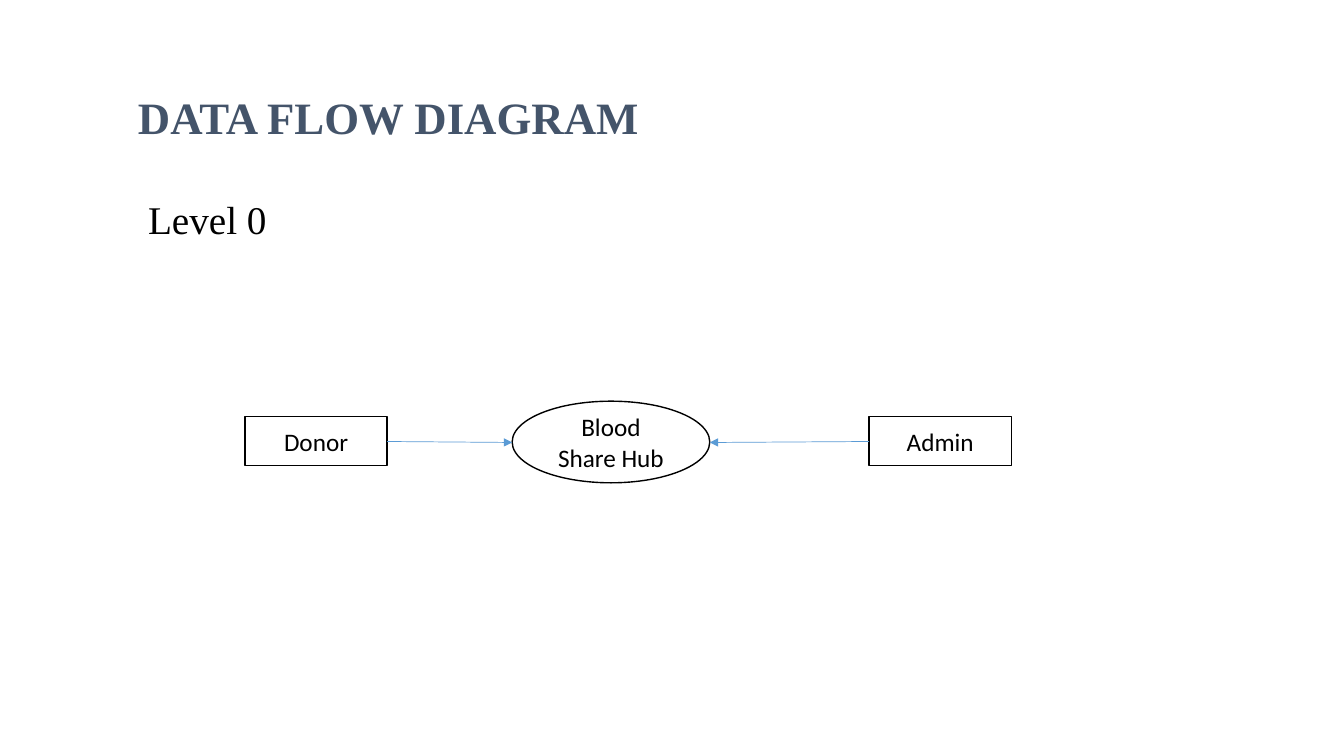
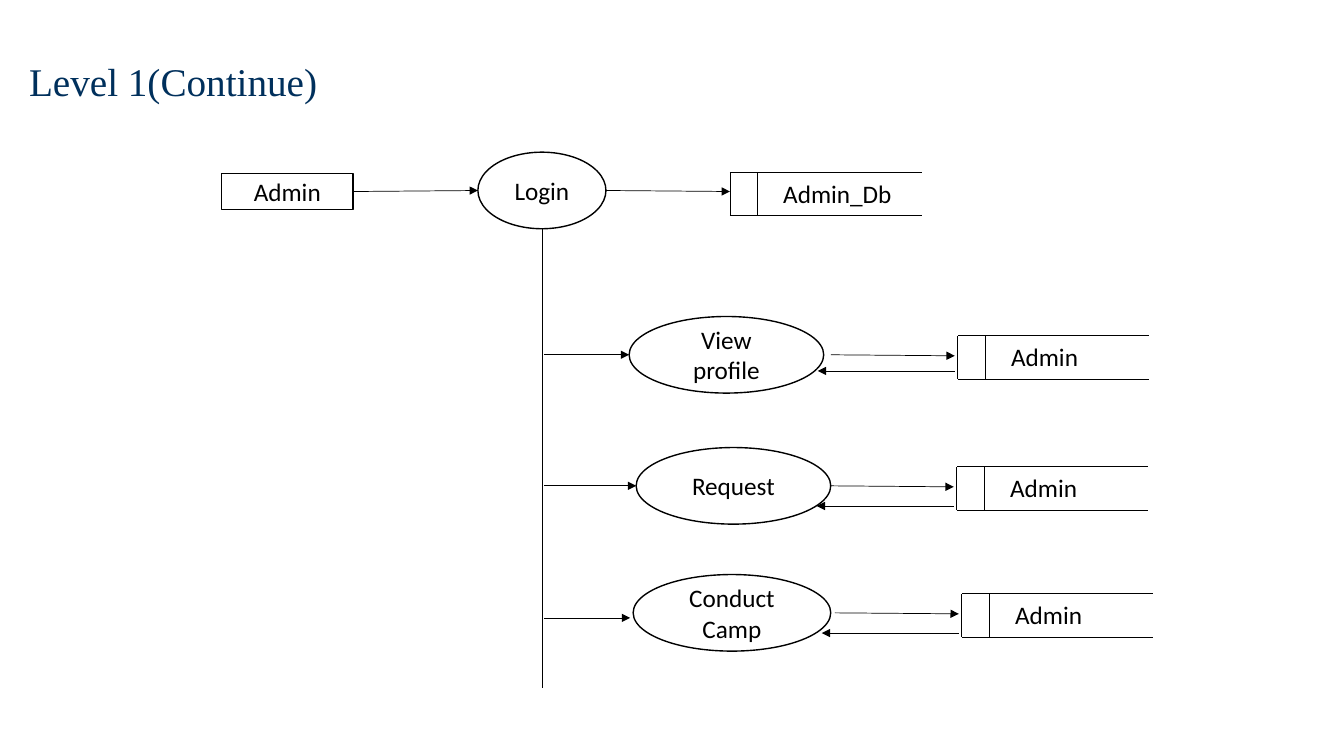
from lxml import etree
from pptx import Presentation
from pptx import util as u
from pptx.dml.color import RGBColor
from pptx.enum import shapes, text
from pptx.oxml.ns import qn

PX = 9144
BLACK = RGBColor(0x00, 0x00, 0x00)
WHITE = RGBColor(0xFF, 0xFF, 0xFF)
SLATE = RGBColor(0x44, 0x54, 0x6A)
NAVY = RGBColor(0x00, 0x30, 0x5C)
BLUE = RGBColor(0x5B, 0x9B, 0xD5)
HEADING_FONT = "Times New Roman"
LABEL_FONT = "Calibri"
ENTITY = shapes.MSO_SHAPE.RECTANGLE
PROCESS = shapes.MSO_SHAPE.OVAL
STORE_WIDTH, STORE_HEIGHT, STORE_TAB = 190, 43, 27


def emu(*lengths):
    """Turn px lengths into EMU."""
    return [u.Emu(length * PX) for length in lengths]


def write(frame, words, size, font, color, bold=False):
    """Write one run into a wrapping text frame and return its paragraph."""
    frame.word_wrap = True
    paragraph = frame.paragraphs[0]
    run = paragraph.add_run()
    run.text = words
    run.font.size = u.Pt(size)
    run.font.name = font
    run.font.bold = bold
    run.font.color.rgb = color
    return paragraph


def add_text(slide, box, words, size=18, font=LABEL_FONT, color=BLACK, bold=False):
    """Place left-aligned text in a box."""
    frame = slide.shapes.add_textbox(*emu(*box)).text_frame
    write(frame, words, size, font, color, bold)
    return frame


def add_node(slide, kind, box, words):
    """Draw an outlined entity or process with a centred label."""
    node = slide.shapes.add_shape(kind, *emu(*box))
    node.shadow.inherit = False
    node.fill.solid()
    node.fill.fore_color.rgb = WHITE
    node.line.color.rgb = BLACK
    node.line.width = u.Pt(1)
    node.text_frame.vertical_anchor = text.MSO_ANCHOR.MIDDLE
    label = write(node.text_frame, words, 18, LABEL_FONT, BLACK)
    label.alignment = text.PP_ALIGN.CENTER


def add_line(slide, start, end, color=BLACK, arrow=False):
    """Draw a thin line, with an arrowhead at its end if asked."""
    line = slide.shapes.add_connector(shapes.MSO_CONNECTOR.STRAIGHT, *emu(*start, *end))
    line.line.color.rgb = color
    line.line.width = u.Pt(0.5)
    if arrow:
        outline = line.line._get_or_add_ln()
        etree.SubElement(outline, qn("a:tailEnd"), type="triangle")
    etree.SubElement(line._element.spPr, qn("a:effectLst"))


def add_flow(slide, start, end, color=BLACK):
    """Draw a data flow arrow."""
    add_line(slide, start, end, color, arrow=True)


def add_store(slide, left, top, words):
    """Draw an open-ended data store with its label."""
    bottom = top + STORE_HEIGHT
    for y in (bottom, top):
        add_line(slide, (left, y), (left + STORE_WIDTH, y))
    for x in (left, left + STORE_TAB):
        add_line(slide, (x, bottom), (x, top))
    add_text(slide, (left + 43, top + 1, 147, 40), words)


def add_branch(slide, spine, box, words, store, entry, reply):
    """Draw a process fed from the spine that exchanges data with a store."""
    left, top, width, height = box
    middle = top + height // 2
    entry_x, entry_y = left + entry[0], middle + entry[1]
    add_node(slide, PROCESS, box, words)
    add_store(slide, store, top + 19, "Admin")
    add_flow(slide, (spine + 2, entry_y), (entry_x, entry_y))
    add_flow(slide, (store - 126, middle), (store - 3, middle + 1))
    add_flow(slide, (store - 3, top + reply), (store - 139, top + reply))


def build_level_0(slide):
    """Build the context diagram."""
    add_text(slide, (127, 84, 667, 64), "DATA FLOW DIAGRAM", 32, HEADING_FONT, SLATE, True)
    add_text(slide, (137, 189, 821, 57), "Level 0", 28, HEADING_FONT)
    for left, words in ((243, "Donor"), (862, "Admin")):
        add_node(slide, ENTITY, (left, 413, 141, 49), words)
    add_node(slide, PROCESS, (508, 398, 196, 81), "Blood Share Hub")
    for start, end in ((384, 508), (862, 704)):
        add_flow(slide, (start, 438), (end, 439), BLUE)


def build_level_1(slide):
    """Build the admin diagram."""
    title = add_text(slide, (19, 11, 957, 145), "Level 1(Continue)", 28, HEADING_FONT, NAVY)
    title.vertical_anchor = text.MSO_ANCHOR.MIDDLE
    title.paragraphs[0].line_spacing = 0.9
    add_node(slide, ENTITY, (220, 172, 130, 36), "Admin")
    add_node(slide, PROCESS, (474, 151, 127, 76), "Login")
    add_store(slide, 724, 171, "Admin_Db")
    add_flow(slide, (350, 190), (474, 189))
    add_flow(slide, (601, 189), (724, 190))
    spine = 538
    add_line(slide, (spine, 227), (spine, 683))
    branches = (
        ((624, 314, 193, 76), "View profile", 950, (0, 0), 54),
        ((631, 444, 193, 76), "Request", 949, (0, 0), 58),
        ((628, 570, 196, 76), "Conduct Camp", 954, (-3, 5), 58),
    )
    for branch in branches:
        add_branch(slide, spine, *branch)


def main():
    """Build and save the presentation."""
    deck = Presentation()
    deck.slide_width, deck.slide_height = emu(1333, 750)
    for build in (build_level_0, build_level_1):
        build(deck.slides.add_slide(deck.slide_layouts[6]))
    deck.save("out.pptx")


if __name__ == "__main__":
    main()
